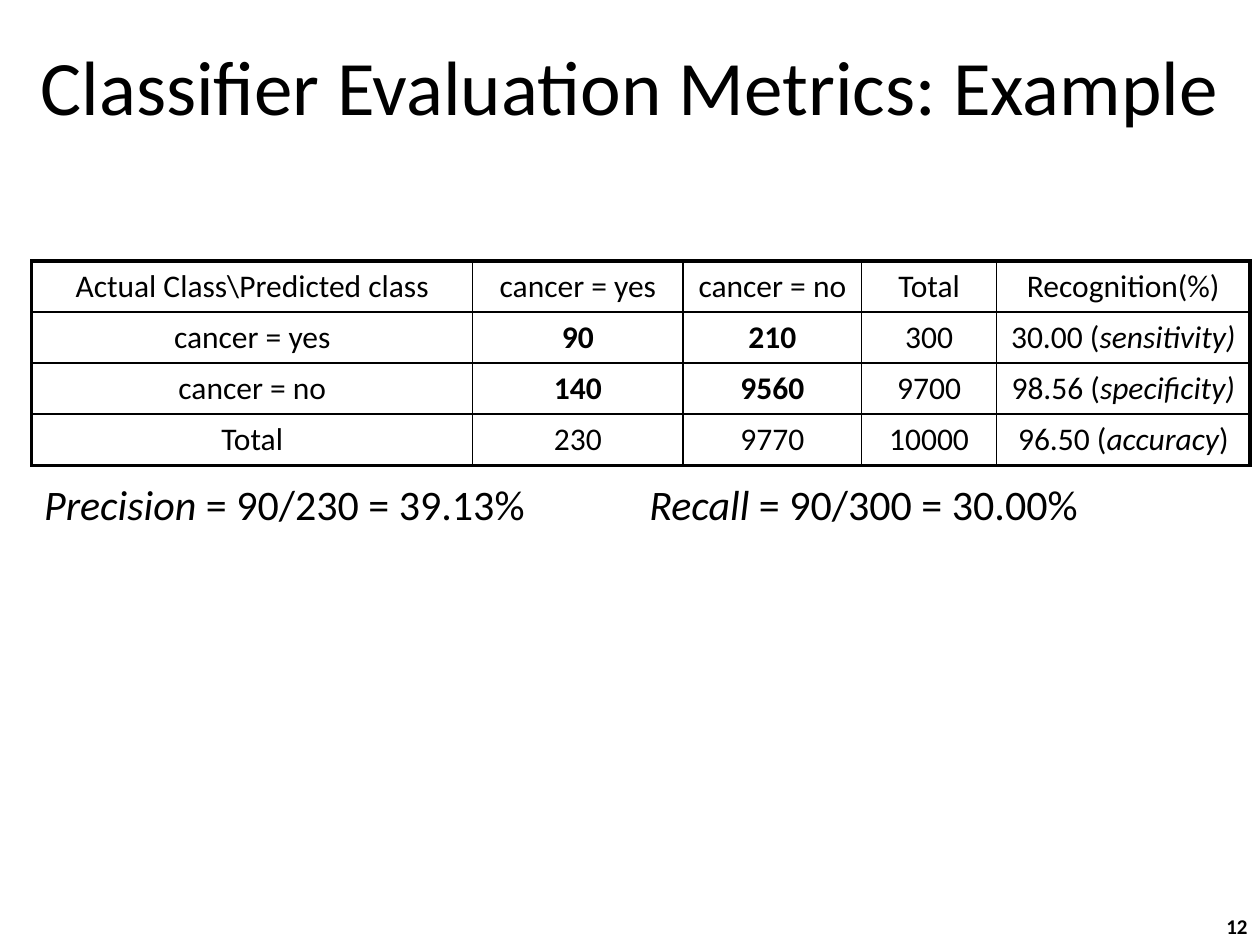
import pptx
import pptx.util
import pptx.dml.color
import pptx.enum.text
import pptx.oxml
import pptx.oxml.ns
from pptx.util import Cm

COLORS = {"text": "000000", "border": "000000", "paper": "FFFFFF"}
FONT = "Calibri"
ALIGN = pptx.enum.text.PP_ALIGN
ANCHOR = pptx.enum.text.MSO_ANCHOR
THIN, THICK = 1, 2.25
BOLD, ITALIC = {"bold": True}, {"italic": True}

COL_WIDTHS = [8.89, 4.24, 3.6, 2.72, 5.11]
ROW_HEIGHT = 1.02
# A cell is plain text or a list of (text, format) runs
ROWS = [
    ["Actual Class\\Predicted class", "cancer = yes", "cancer = no", "Total", "Recognition(%)"],
    ["cancer = yes", [("90", BOLD)], [("210", BOLD)], "300",
     [("30.00 (", {}), ("sensitivity)", ITALIC)]],
    ["cancer = no", [("140", BOLD)], [("9560", BOLD)], "9700",
     [("98.56 (", {}), ("specificity)", ITALIC)]],
    ["Total", "230", "9770", "10000",
     [("96.50 (", {}), ("accuracy", ITALIC), (")", {})]],
]


def rgb(name):
    return pptx.dml.color.RGBColor.from_string(COLORS[name])


def write(tf, runs, size, align, anchor):
    """Fill a text frame with one paragraph of formatted runs."""
    tf.word_wrap = True
    tf.vertical_anchor = anchor
    p = tf.paragraphs[0]
    p.alignment = align
    for text, extra in [(runs, {})] if isinstance(runs, str) else runs:
        r = p.add_run()
        r.text = text
        r.font.color.rgb = rgb("text")
        formats = {"name": FONT, "size": pptx.util.Pt(size), **extra}
        for key, value in formats.items():
            setattr(r.font, key, value)
    return p


def place(sp, box):
    for key, value in zip(("left", "top", "width", "height"), box):
        setattr(sp, key, Cm(value))


def add_title(s, box):
    sp = s.shapes.title
    place(sp, box)
    write(sp.text_frame, "Classifier Evaluation Metrics: Example", 44,
          ALIGN.CENTER, ANCHOR.MIDDLE)


def add_text(s, box, runs, size, align, anchor):
    sp = s.shapes.add_textbox(*map(Cm, box))
    return write(sp.text_frame, runs, size, align, anchor)


def set_borders(cell, widths):
    """Draw the cell's left, right, top and bottom lines."""
    tc_pr = cell._tc.get_or_add_tcPr()
    for i, (side, width) in enumerate(zip("LRTB", widths)):
        tc_pr.insert(i, pptx.oxml.parse_xml(
            f'<a:ln{side} {pptx.oxml.ns.nsdecls("a")} w="{int(width * 12700)}">'
            f'<a:solidFill><a:srgbClr val="{COLORS["border"]}"/></a:solidFill>'
            f'</a:ln{side}>'))


def add_confusion_matrix(s, left, top):
    n_rows, n_cols = len(ROWS), len(COL_WIDTHS)
    table = s.shapes.add_table(n_rows, n_cols, Cm(left), Cm(top), Cm(sum(COL_WIDTHS)),
                               Cm(ROW_HEIGHT * n_rows)).table
    table.first_row = table.horz_banding = False
    for col, width in zip(table.columns, COL_WIDTHS):
        col.width = Cm(width)
    for i, row in enumerate(ROWS):
        table.rows[i].height = Cm(ROW_HEIGHT)
        for j, content in enumerate(row):
            cell = table.cell(i, j)
            cell.fill.solid()
            cell.fill.fore_color.rgb = rgb("paper")
            write(cell.text_frame, content, 18, ALIGN.CENTER, ANCHOR.TOP)
            # Thick lines only on the outer frame
            outer = (j == 0, j == n_cols - 1, i == 0, i == n_rows - 1)
            set_borders(cell, [THICK if edge else THIN for edge in outer])


def add_metrics(s, box, tab):
    """Precision and recall on one line, recall at a tab stop."""
    p = add_text(s, box, [("Precision", ITALIC), (" = 90/230 = 39.13%\t", {}),
                          ("Recall", ITALIC), (" = 90/300 = 30.00%", {})],
                 24, ALIGN.LEFT, ANCHOR.TOP)
    p._p.get_or_add_pPr().append(pptx.oxml.parse_xml(
        f'<a:tabLst {pptx.oxml.ns.nsdecls("a")}><a:tab pos="{Cm(tab)}" algn="l"/></a:tabLst>'))


def main():
    prs = pptx.Presentation()
    prs.slide_width, prs.slide_height = Cm(25.4), Cm(19.05)
    s = prs.slides.add_slide(prs.slide_layouts[5])
    add_title(s, (0, 0.64, 25.4, 2.12))
    add_confusion_matrix(s, 0.64, 5.26)
    add_metrics(s, (0.64, 9.53, 23.5, 1.69), 12.2)
    # Slide number
    add_text(s, (20.11, 17.99, 5.29, 1.06), [("12", BOLD)], 12, ALIGN.RIGHT, ANCHOR.BOTTOM)
    prs.save("out.pptx")


if __name__ == "__main__":
    main()
